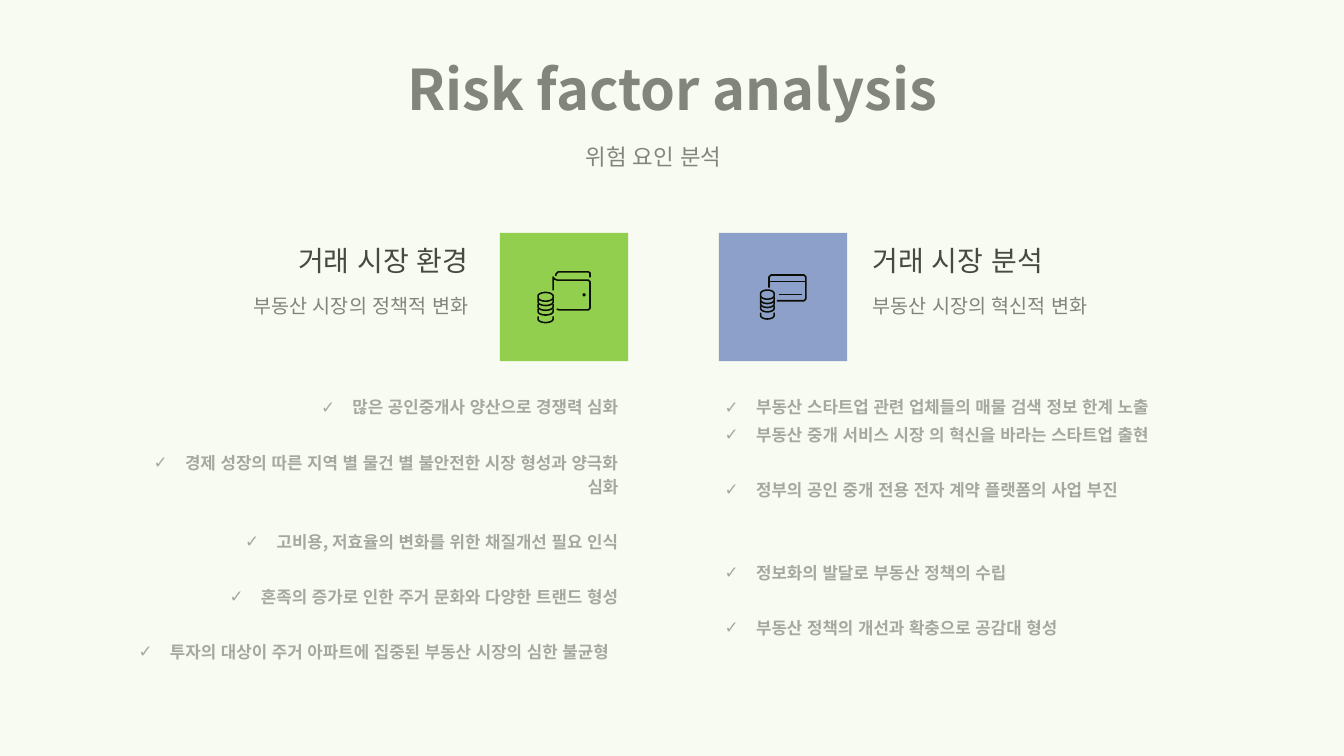
"""Build the risk factor analysis slide."""
from dataclasses import dataclass
from math import cos, pi, sin

from lxml.etree import SubElement
from pptx import Presentation
from pptx.dml.color import RGBColor
from pptx.enum.lang import MSO_LANGUAGE_ID as Language
from pptx.enum.shapes import MSO_CONNECTOR as Connector, MSO_SHAPE as Shape
from pptx.enum.text import MSO_ANCHOR as Anchor, MSO_AUTO_SIZE as AutoSize, PP_ALIGN as Align
from pptx.oxml.ns import qn
from pptx.util import Cm, Pt


@dataclass(frozen=True)
class Theme:
    font: str = "Noto Sans CJK KR"
    gray: str = "808080"
    dark: str = "404040"
    pale: str = "A6A6A6"
    ink: str = "000000"
    tint: str = "9FCE3E"
    tint_alpha: int = 7
    title: int = 40
    heading: int = 20
    subtitle: int = 16
    caption: int = 14
    item: int = 12
    stroke: float = 1.1


THEME = Theme()
WIDTH, HEIGHT = 33.87, 19.05
TITLE = "Risk factor analysis"
SUBTITLE = "위험 요인 분석"
COLUMNS = [
    {
        "heading": "거래 시장 환경", "caption": "부동산 시장의 정책적 변화",
        "align": Align.RIGHT, "color": "92D050",
        "heading_left": 2.92, "tile_left": 12.6, "list_left": 2.84,
        "items": [
            ("많은 공인중개사 양산으로 경쟁력 심화", 0, 0),
            ("경제 성장의 따른 지역 별 물건 별 불안전한 시장 형성과 양극화 심화", 1, 0),
            ("고비용, 저효율의 변화를 위한 채질개선 필요 인식", 1, 0),
            ("혼족의 증가로 인한 주거 문화와 다양한 트랜드 형성", 1, 0),
            ("투자의 대상이 주거 아파트에 집중된 부동산 시장의 심한 불균형", 1, 0.23),
        ],
    },
    {
        "heading": "거래 시장 분석", "caption": "부동산 시장의 혁신적 변화",
        "align": Align.LEFT, "color": "8C9DD4",
        "heading_left": 21.74, "tile_left": 18.12, "list_left": 18.01,
        "items": [
            ("부동산 스타트업 관련 업체들의 매물 검색 정보 한계 노출", 0, 0),
            ("부동산 중개 서비스 시장 의 혁신을 바라는 스타트업 출현", 0, 0),
            ("정부의 공인 중개 전용 전자 계약 플랫폼의 사업 부진", 1, 0),
            ("정보화의 발달로 부동산 정책의 수립", 2, 0),
            ("부동산 정책의 개선과 확충으로 공감대 형성", 1, 0),
        ],
    },
]
ITEM_SPACE, LINE_PITCH = 2.4, 19.7
WALLET_FLAP = [(14.01, 6.95), (14.01, 6.91), (14.07, 6.85), (14.83, 6.85), (14.87, 6.88), (14.87, 6.99)]
WALLET_BODY = [(13.94, 7.32), (13.94, 6.98), (13.97, 7.03), (14.05, 7.06), (14.83, 7.06),
               (14.87, 7.1), (14.87, 7.77), (14.83, 7.81), (14.1, 7.81), (14.03, 7.79)]
CARD = [(19.38, 7.25), (19.38, 6.98), (19.43, 6.93), (20.26, 6.93),
        (20.31, 6.98), (20.31, 7.53), (20.26, 7.58), (19.58, 7.58)]
CARD_LINES = [(19.38, 20.31, 7.09), (19.63, 20.21, 7.42)]
COIN_STACKS = [
    {"center": 13.75, "radius": 0.19, "top": 7.37, "bottoms": [7.59, 7.7, 7.82, 7.94, 8.13]},
    {"center": 19.34, "radius": 0.17, "top": 7.31, "bottoms": [7.54, 7.65, 7.75, 7.86, 8.04]},
]


def place(shape, left, top, width, height):
    shape.left, shape.top, shape.width, shape.height = map(Cm, (left, top, width, height))
    return shape


def write(paragraph, text, *, size, color, bold=False, align=Align.LEFT,
          before=0, spacing=1.0, bullet=None, right_indent=0):
    properties = paragraph._p.get_or_add_pPr()
    properties.set("marL", str(Cm(0.79) if bullet else 0))
    properties.set("marR", str(Cm(right_indent)))
    properties.set("indent", str(-Cm(0.79) if bullet else 0))
    if bullet:
        SubElement(properties, qn("a:buChar"), char=bullet)
    else:
        SubElement(properties, qn("a:buNone"))
    paragraph.alignment, paragraph.line_spacing, paragraph.space_before = align, spacing, Pt(before)
    run = paragraph.add_run()
    run.text = text
    run.font.size, run.font.bold = Pt(size), bold
    run.font.language_id = Language.KOREAN
    run.font.color.rgb = RGBColor.from_string(color)
    run.font.name = THEME.font
    run_properties = run._r.get_or_add_rPr()
    run_properties.set("kern", "0")
    SubElement(run_properties, qn("a:ea"), typeface=THEME.font)


def prepare(shape, anchor=Anchor.TOP):
    frame = shape.text_frame
    frame.word_wrap, frame.auto_size, frame.vertical_anchor = True, AutoSize.NONE, anchor
    return frame


def add_label(slide, text, box, **style):
    shape = slide.shapes.add_textbox(*map(Cm, box))
    write(prepare(shape).paragraphs[0], text, **style)


def add_filled(slide, kind, box, color):
    shape = slide.shapes.add_shape(kind, *map(Cm, box))
    shape.shadow.inherit = False
    shape.fill.solid()
    shape.fill.fore_color.rgb = RGBColor.from_string(color)
    shape.line.fill.background()
    return shape


def ink_line(shape):
    shape.line.color.rgb = RGBColor.from_string(THEME.ink)
    shape.line.width = Pt(THEME.stroke)


def draw_outline(slide, points, close=False):
    vertices = [(Cm(x), Cm(y)) for x, y in points]
    builder = slide.shapes.build_freeform(*vertices[0])
    builder.add_line_segments(vertices[1:], close=close)
    shape = builder.convert_to_shape()
    shape.shadow.inherit = False
    shape.fill.background()
    ink_line(shape)


def arc(center, middle, radius, height, start, end, steps=12):
    angles = [start + (end - start) * step / steps for step in range(steps + 1)]
    return [(center + radius * cos(angle), middle + height * sin(angle)) for angle in angles]


def draw_coins(slide, center, radius, top, bottoms, height=0.09, side=0.07):
    for index, bottom in enumerate(bottoms):
        middle = bottom - height
        rim = arc(center, middle, radius, height, 0, pi)
        if index == 0:
            draw_outline(slide, rim + arc(center, top + height, radius, height, pi, 2 * pi), close=True)
        else:
            ends = [(center + radius, middle - side)], [(center - radius, middle - side)]
            draw_outline(slide, ends[0] + rim + ends[1])


def draw_icons(slide):
    for points in (WALLET_FLAP, WALLET_BODY, CARD):
        draw_outline(slide, points)
    add_filled(slide, Shape.OVAL, (14.68, 7.39, 0.08, 0.08), THEME.ink)
    for start, end, y in CARD_LINES:
        line = slide.shapes.add_connector(Connector.STRAIGHT, Cm(start), Cm(y), Cm(end), Cm(y))
        ink_line(line)
        SubElement(line._element.spPr, qn("a:effectLst"))
    for stack in COIN_STACKS:
        draw_coins(slide, **stack)


def add_column(slide, column, body):
    align, left = column["align"], column["heading_left"]
    add_label(slide, column["caption"], (left, 7.29, 9.14, 0.86),
              size=THEME.caption, color=THEME.gray, align=align)
    add_label(slide, column["heading"], (left, 6.02, 9.14, 1.12),
              size=THEME.heading, color=THEME.dark, align=align)
    add_filled(slide, Shape.RECTANGLE, (column["tile_left"], 5.87, 3.23, 3.23), column["color"])
    frame = prepare(place(body, column["list_left"], 9.78, 13, 7.16))
    for index, (text, skipped, right_indent) in enumerate(column["items"]):
        paragraph = frame.add_paragraph() if index else frame.paragraphs[0]
        before = ITEM_SPACE + skipped * LINE_PITCH if index else 0
        write(paragraph, text, size=THEME.item, color=THEME.pale, bold=True, align=align,
              before=before, spacing=1.2, bullet="✓", right_indent=right_indent)


def main():
    presentation = Presentation()
    presentation.slide_width, presentation.slide_height = Cm(WIDTH), Cm(HEIGHT)
    slide = presentation.slides.add_slide(presentation.slide_layouts[3])
    title, *bodies = slide.placeholders
    place(title, 2.26, 0.94, 29.36, 2.54)
    write(prepare(title, Anchor.MIDDLE).paragraphs[0], TITLE,
          size=THEME.title, color=THEME.gray, bold=True, align=Align.CENTER)
    add_label(slide, SUBTITLE, (3.63, 3.48, 25.68, 1.04),
              size=THEME.subtitle, color=THEME.gray, align=Align.CENTER)
    for column, body in zip(COLUMNS, bodies):
        add_column(slide, column, body)
    draw_icons(slide)
    tint = add_filled(slide, Shape.RECTANGLE, (0, 0, WIDTH, HEIGHT), THEME.tint)
    color = tint._element.spPr.find(qn("a:solidFill"))[0]
    SubElement(color, qn("a:alpha"), val=str(THEME.tint_alpha * 1000))
    presentation.save("out.pptx")


if __name__ == "__main__":
    main()
